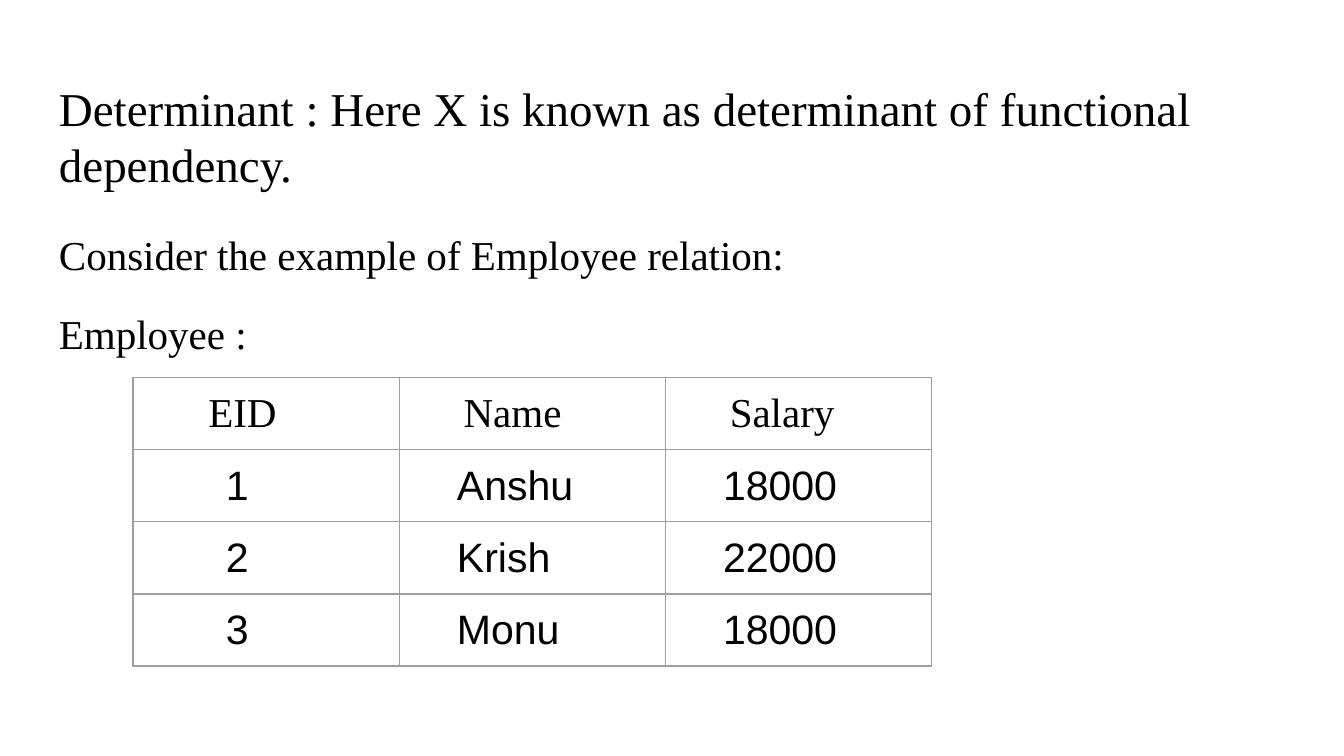
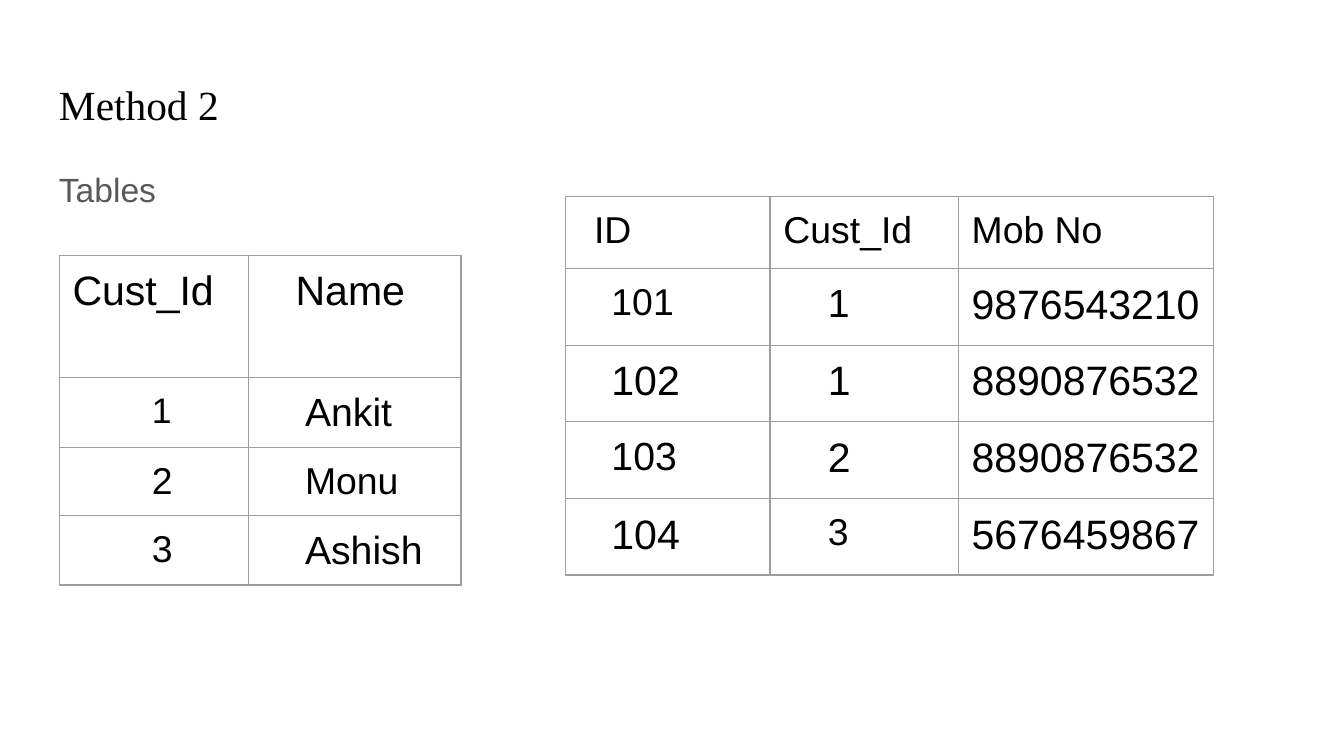
from lxml import etree
from pptx import Presentation
from pptx.dml.color import RGBColor
from pptx.enum.text import MSO_ANCHOR
from pptx.oxml.ns import qn
from pptx.util import Inches, Pt

TOP = MSO_ANCHOR.TOP
THEME = {
    "black": RGBColor(0x00, 0x00, 0x00),
    "grey": RGBColor(0x59, 0x59, 0x59),
    "border": "9E9E9E",
    "border_width": Pt(0.75),
    "serif": "Times New Roman",
    "sans": "Arial",
    "large": 22,
    "body": 18,
    "inset": 0.1,
    "left": 0.34,
    "width": 9.32,
}
MARGINS = ("margin_left", "margin_top", "margin_right", "margin_bottom")


def write(paragraph, text, size, font_name, color=THEME["black"], **spacing):
    run = paragraph.add_run()
    run.text = text
    for name, value in {"size": Pt(size), "name": font_name}.items():
        setattr(run.font, name, value)
    run.font.color.rgb = color
    for name, value in spacing.items():
        setattr(paragraph, name, value)


def add_border(cell):
    properties = cell._tc.get_or_add_tcPr()
    for position, side in enumerate(("lnL", "lnR", "lnT", "lnB")):
        line = etree.Element(qn("a:" + side), w=str(THEME["border_width"]))
        fill = etree.SubElement(line, qn("a:solidFill"))
        etree.SubElement(fill, qn("a:srgbClr"), val=THEME["border"])
        properties.insert(position, line)


# Text boxes are (top, height, paragraphs); paragraphs are (text, format).
# Indents hold one row for the header and one for the records.
slides = [
    {
        "texts": [
            (0.49, 0.89, [
                ("Determinant : Here X is known as determinant of functional dependency.",
                 {"size": 25.2, "font_name": THEME["serif"]}),
            ]),
            (1.55, 4.29, [
                ("Consider the example of Employee relation:",
                 {"size": THEME["large"], "font_name": THEME["serif"], "line_spacing": 1.15}),
                ("Employee :",
                 {"size": THEME["large"], "font_name": THEME["serif"], "line_spacing": 1.15,
                  "space_before": Pt(12), "space_after": Pt(12)}),
            ]),
        ],
        "tables": [
            {
                "at": (0.99, 2.81),
                "columns": [1.98] * 3,
                "rows": [0.42] * 4,
                "header_font": THEME["serif"],
                "indents": [(0.46, 0.38, 0.38), (0.59, 0.33, 0.33)],
                "cells": [
                    ("EID", "Name", "Salary"),
                    ("1", "Anshu", "18000"),
                    ("2", "Krish", "22000"),
                    ("3", "Monu", "18000"),
                ],
                "sizes": [(THEME["large"],) * 3] * 4,
            },
        ],
    },
    {
        "texts": [
            (0.49, 0.63, [
                ("Method 2", {"size": 22.2, "font_name": THEME["serif"]}),
            ]),
            (1.11, 4.76, [
                ("Tables",
                 {"size": THEME["body"], "font_name": THEME["sans"], "color": THEME["grey"],
                  "line_spacing": 1.15, "space_after": Pt(12)}),
            ]),
        ],
        "tables": [
            {
                "at": (0.44, 1.9),
                "columns": [1.41, 1.58],
                "rows": [0.91] + [0.42] * 3,
                "header_font": THEME["sans"],
                "indents": [(0, 0.25), (0.59, 0.32)],
                "cells": [
                    ("Cust_Id", "Name"),
                    ("1", "Ankit"),
                    ("2", "Monu"),
                    ("3", "Ashish"),
                ],
                "sizes": [(22, 22), (19, 21), (20, 20), (20, 21)],
            },
            {
                "at": (4.21, 1.46),
                "columns": [1.52, 1.4, 1.9],
                "rows": [0.54] + [0.57] * 4,
                "header_font": THEME["sans"],
                "indents": [(0.11, 0, 0), (0.24, 0.33, 0)],
                "cells": [
                    ("ID", "Cust_Id", "Mob No"),
                    ("101", "1", "9876543210"),
                    ("102", "1", "8890876532"),
                    ("103", "2", "8890876532"),
                    ("104", "3", "5676459867"),
                ],
                "sizes": [(20, 20, 20), (20, 21, 22), (22, 22, 22), (21, 22, 22), (22, 20, 22)],
            },
        ],
    },
]

# Widescreen page, 16 to 9
presentation = Presentation()
presentation.slide_width = Inches(10)
presentation.slide_height = Inches(10) * 9 // 16

for content in slides:
    slide = presentation.slides.add_slide(presentation.slide_layouts[6])

    # Title and body text
    for top, height, paragraphs in content["texts"]:
        shape = slide.shapes.add_textbox(
            Inches(THEME["left"]), Inches(top), Inches(THEME["width"]), Inches(height))
        frame = shape.text_frame
        frame.word_wrap = True
        frame.vertical_anchor = TOP
        for margin in MARGINS:
            setattr(frame, margin, Inches(THEME["inset"]))
        for index, (text, text_format) in enumerate(paragraphs):
            paragraph = frame.add_paragraph() if index else frame.paragraphs[0]
            write(paragraph, text, **text_format)

    # Tables
    for data in content["tables"]:
        left, top = data["at"]
        columns, rows = data["columns"], data["rows"]
        table = slide.shapes.add_table(
            len(rows), len(columns), Inches(left), Inches(top),
            Inches(sum(columns)), Inches(sum(rows))).table
        table.first_row = table.horz_banding = False
        for column, width in zip(table.columns, columns):
            column.width = Inches(width)
        for row_index, height in enumerate(rows):
            table.rows[row_index].height = Inches(height)
            is_record = row_index > 0
            indents = data["indents"][is_record]
            font_name = THEME["sans"] if is_record else data["header_font"]
            row = zip(data["cells"][row_index], data["sizes"][row_index], indents)
            for column_index, (text, size, indent) in enumerate(row):
                cell = table.cell(row_index, column_index)
                cell.fill.background()
                add_border(cell)
                # Narrow right and bottom margins keep long numbers on one line and rows low
                insets = (THEME["inset"] + indent, THEME["inset"], 0.05, 0.07)
                for margin, inset in zip(MARGINS, insets):
                    setattr(cell, margin, Inches(inset))
                write(cell.text_frame.paragraphs[0], text, size, font_name)

presentation.save("out.pptx")
